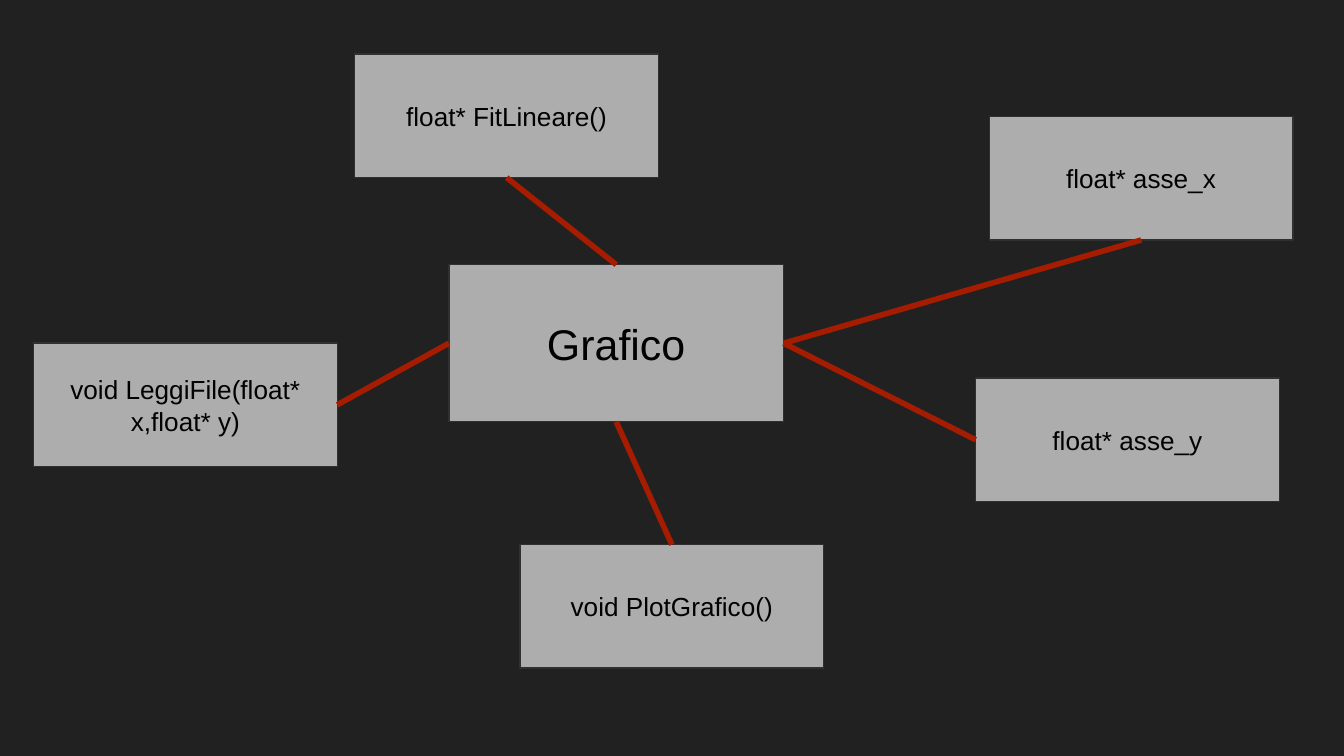
import dataclasses

import pptx
import pptx.dml.color
import pptx.enum.shapes
import pptx.enum.text
import pptx.oxml
import pptx.util

Pt = pptx.util.Pt
TOP, LEFT, BOTTOM, RIGHT = range(4)  # connection sites of a rectangle


def rgb(value):
    return pptx.dml.color.RGBColor.from_string(value)


@dataclasses.dataclass(frozen=True)
class Theme:
    background: str = "212121"
    box_fill: str = "ADADAD"
    box_line: str = "303030"
    link: str = "A61C00"
    text: str = "000000"
    font: str = "Arial"
    class_size: float = 23
    member_size: float = 14
    box_line_width: float = 0.75
    link_width: float = 3
    inset: float = 7.2


class Diagram:
    """Draws boxes and links on one slide in the given theme."""

    def __init__(self, slide, theme):
        self.slide = slide
        self.theme = theme
        fill = slide.background.fill
        fill.solid()
        fill.fore_color.rgb = rgb(theme.background)

    def box(self, label, position, extent, size):
        theme = self.theme
        box = self.slide.shapes.add_shape(
            pptx.enum.shapes.MSO_SHAPE.RECTANGLE,
            *(Pt(length) for length in (*position, *extent)))
        box.shadow.inherit = False
        box.fill.solid()
        box.fill.fore_color.rgb = rgb(theme.box_fill)
        box.line.color.rgb = rgb(theme.box_line)
        box.line.width = Pt(theme.box_line_width)

        frame = box.text_frame
        frame.word_wrap = True
        frame.vertical_anchor = pptx.enum.text.MSO_ANCHOR.MIDDLE
        frame.margin_left = frame.margin_right = Pt(theme.inset)
        frame.margin_top = frame.margin_bottom = Pt(theme.inset)
        paragraph = frame.paragraphs[0]
        paragraph.alignment = pptx.enum.text.PP_ALIGN.CENTER
        run = paragraph.add_run()
        run.text = label
        run.font.name = theme.font
        run.font.size = Pt(size)
        run.font.color.rgb = rgb(theme.text)
        return box

    def link(self, start, start_site, end, end_site):
        """Join two boxes at the given connection sites."""
        link = self.slide.shapes.add_connector(
            pptx.enum.shapes.MSO_CONNECTOR.STRAIGHT, 0, 0, 0, 0)
        link.begin_connect(start, start_site)
        link.end_connect(end, end_site)
        link.line.color.rgb = rgb(self.theme.link)
        link.line.width = Pt(self.theme.link_width)
        properties = link._element.spPr
        properties.append(pptx.oxml.parse_xml(
            '<a:effectLst xmlns:a='
            '"http://schemas.openxmlformats.org/drawingml/2006/main"/>'))


CLASS_POSITION = (240.5, 141.8)
CLASS_EXTENT = (179.3, 84.2)
MEMBER_EXTENT = (162.7, 66.2)

# label, position, site on the class box, site on the member box
MEMBERS = [
    ("float* FitLineare()", (190.1, 29), TOP, BOTTOM),
    ("float* asse_x", (530, 62.4), RIGHT, BOTTOM),
    ("float* asse_y", (522.7, 202.5), RIGHT, LEFT),
    ("void LeggiFile(float* x,float* y)", (18, 183.8), LEFT, RIGHT),
    ("void PlotGrafico()", (278.6, 291.8), BOTTOM, TOP),
]


def main():
    presentation = pptx.Presentation()
    presentation.slide_width = Pt(720)
    presentation.slide_height = Pt(405)
    slide = presentation.slides.add_slide(presentation.slide_layouts[6])
    theme = Theme()
    diagram = Diagram(slide, theme)

    class_box = diagram.box(
        "Grafico", CLASS_POSITION, CLASS_EXTENT, theme.class_size)
    member_boxes = [
        diagram.box(label, position, MEMBER_EXTENT, theme.member_size)
        for label, position, _, _ in MEMBERS]
    for member_box, (_, _, class_site, member_site) in zip(member_boxes, MEMBERS):
        diagram.link(class_box, class_site, member_box, member_site)

    presentation.save("out.pptx")


if __name__ == "__main__":
    main()
